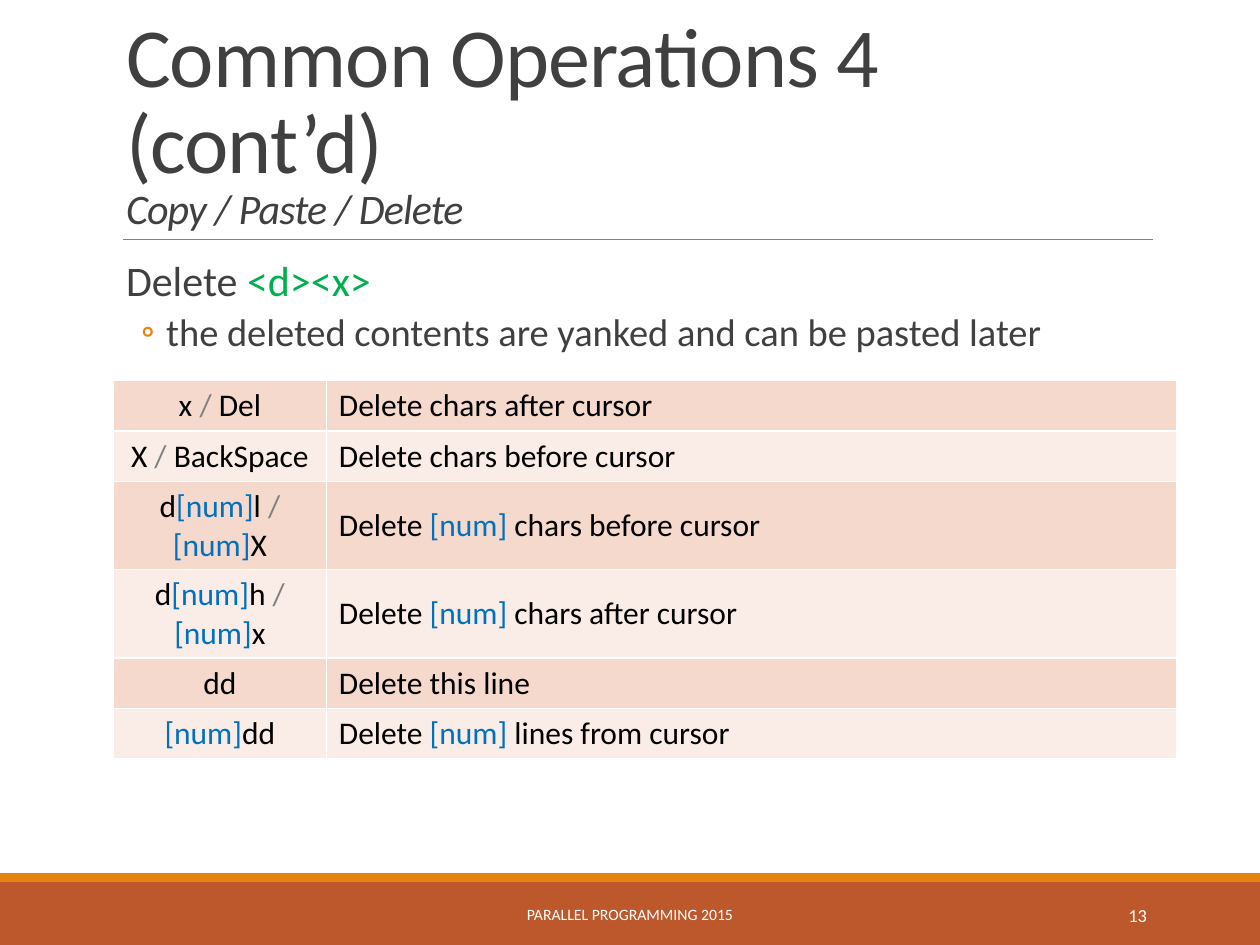
from pptx import Presentation
from pptx.dml.color import RGBColor as Rgb
from pptx.enum.shapes import MSO_CONNECTOR as Connector, MSO_SHAPE as Shape
from pptx.enum.text import MSO_ANCHOR as Anchor, MSO_AUTO_SIZE as AutoSize, PP_ALIGN as Align
from pptx.oxml.ns import qn
from pptx.util import Pt
from lxml.etree import SubElement

THEME = {
    "font": "Calibri",
    "text": "404040", "table_text": "000000", "light": "FFFFFF", "rule": "808080",
    "band": "BD582C", "accent": "E48312", "rows": ("F5D9CC", "FAEDE7"),
    "marks": {"/": "808080", "[num]": "0070C0", "<d><x>": "00B050"},
    "title": 48, "subtitle": 24, "lead": 24, "point": 22, "cell": 18,
    "footer": 9, "number": 10.5,
}

TITLE = "Common Operations 4 (cont’d)"
SUBTITLE = "Copy / Paste / Delete"
LEAD = ["Delete ", "<d><x>"]
POINT = ["the deleted contents are yanked and can be pasted later"]
COMMANDS = [
    (["x ", "/", " Del"], ["Delete chars after cursor"]),
    (["X ", "/ ", "BackSpace"], ["Delete chars before cursor"]),
    (["d", "[num]", "l ", "/ ", "[num]", "X"], ["Delete ", "[num] ", "chars before cursor"]),
    (["d", "[num]", "h ", "/ ", "[num]", "x"], ["Delete ", "[num] ", "chars after cursor"]),
    (["dd"], ["Delete this line"]),
    (["[num]", "dd"], ["Delete ", "[num] ", "lines from cursor"]),
]
FOOTER = "PARALLEL PROGRAMMING 2015"
NUMBER = "13"

WIDTH, HEIGHT = 720, 540
LEFT, CONTENT_WIDTH = 64.8, 594
BAND_TOP, STRIPE = 504, 5
COLUMNS, ROW_HEIGHT = (121.7, 486), 26


def points(*lengths):
    return [Pt(length) for length in lengths]


def write(para, spans, size, colour, align=Align.LEFT):
    para.alignment = align
    para.font.name = THEME["font"]
    para.font.size = Pt(size)
    para.font.color.rgb = Rgb.from_string(colour)
    for text in spans:
        span = para.add_run()
        span.text = text
        mark = THEME["marks"].get(text.strip())
        if mark:
            span.font.color.rgb = Rgb.from_string(mark)


def add_band(page, top, height, colour):
    band = page.shapes.add_shape(Shape.RECTANGLE, *points(0, top, WIDTH, height))
    band.shadow.inherit = False
    band.fill.solid()
    band.fill.fore_color.rgb = Rgb.from_string(colour)
    band.line.fill.background()


def add_rule(page):
    rule = page.shapes.add_connector(Connector.STRAIGHT, *points(70.5, 136.8, 658.8, 136.8))
    rule.line.color.rgb = Rgb.from_string(THEME["rule"])
    rule.line.width = Pt(0.5)
    SubElement(rule._element.spPr, qn("a:effectLst"))


def fill_title(page):
    title = page.shapes.title
    title.left, title.top, title.width, title.height = points(LEFT, 22.3, CONTENT_WIDTH, 114.5)
    frame = title.text_frame
    frame.auto_size = AutoSize.NONE
    frame.word_wrap = True
    frame.vertical_anchor = Anchor.BOTTOM
    para = frame.paragraphs[0]
    para.line_spacing = 0.85
    write(para, [TITLE], THEME["title"], THEME["text"])
    para.add_line_break()
    subtitle = para.add_run()
    subtitle.text = SUBTITLE
    subtitle.font.size = Pt(THEME["subtitle"])
    subtitle.font.italic = True
    for span in para.runs:
        span.font._element.set("spc", "-50")


def add_text(page, left, top, width, height, anchor=Anchor.TOP):
    frame = page.shapes.add_textbox(*points(left, top, width, height)).text_frame
    frame.word_wrap = True
    frame.vertical_anchor = anchor
    return frame


def add_body(page):
    frame = add_text(page, LEFT, 145.4, CONTENT_WIDTH, 316.8)
    frame.margin_left = frame.margin_right = 0
    lead, point = frame.paragraphs[0], frame.add_paragraph()
    lead._p.get_or_add_pPr().set("marL", str(Pt(7.2)))
    props = point._p.get_or_add_pPr()
    props.set("marL", str(Pt(30.2)))
    props.set("indent", str(Pt(-14.4)))
    colour = SubElement(props, qn("a:buClr"))
    SubElement(colour, qn("a:srgbClr"), val=THEME["accent"])
    SubElement(props, qn("a:buFont"), typeface=THEME["font"])
    SubElement(props, qn("a:buChar"), char="◦")
    lead.line_spacing = point.line_spacing = 0.9
    lead.space_after = point.space_before = Pt(2)
    point.space_after = Pt(4)
    write(lead, LEAD, THEME["lead"], THEME["text"])
    write(point, POINT, THEME["point"], THEME["text"])


def add_borders(cell):
    props = cell._tc.get_or_add_tcPr()
    for side in ("lnL", "lnR", "lnT", "lnB"):
        line = SubElement(props, qn(f"a:{side}"), w=str(Pt(1)))
        fill = SubElement(line, qn("a:solidFill"))
        SubElement(fill, qn("a:srgbClr"), val=THEME["light"])


def add_commands(page):
    place = points(LEFT, 217.4, sum(COLUMNS), ROW_HEIGHT * len(COMMANDS))
    table = page.shapes.add_table(len(COMMANDS), len(COLUMNS), *place).table
    table.first_row = False
    for column, width in zip(table.columns, COLUMNS):
        column.width = Pt(width)
    for index, (row, command) in enumerate(zip(table.rows, COMMANDS)):
        row.height = Pt(ROW_HEIGHT)
        for cell, spans, align in zip(row.cells, command, (Align.CENTER, Align.LEFT)):
            add_borders(cell)
            cell.fill.solid()
            cell.fill.fore_color.rgb = Rgb.from_string(THEME["rows"][index % 2])
            cell.vertical_anchor = Anchor.MIDDLE
            write(cell.text_frame.paragraphs[0], spans, THEME["cell"], THEME["table_text"], align)


def add_footer(page):
    for text, left, width, size, align in (
        (FOOTER, 217.4, 285.1, THEME["footer"], Align.CENTER),
        (NUMBER, 584.6, 77.8, THEME["number"], Align.RIGHT),
    ):
        frame = add_text(page, left, 508.3, width, 28.8, Anchor.MIDDLE)
        write(frame.paragraphs[0], [text], size, THEME["light"], align)


def main():
    deck = Presentation()
    deck.slide_width, deck.slide_height = points(WIDTH, HEIGHT)
    page = deck.slides.add_slide(deck.slide_layouts[5])
    add_band(page, BAND_TOP, HEIGHT - BAND_TOP, THEME["band"])
    add_band(page, BAND_TOP - STRIPE, STRIPE, THEME["accent"])
    add_rule(page)
    fill_title(page)
    add_body(page)
    add_commands(page)
    add_footer(page)
    deck.save("out.pptx")


if __name__ == "__main__":
    main()
